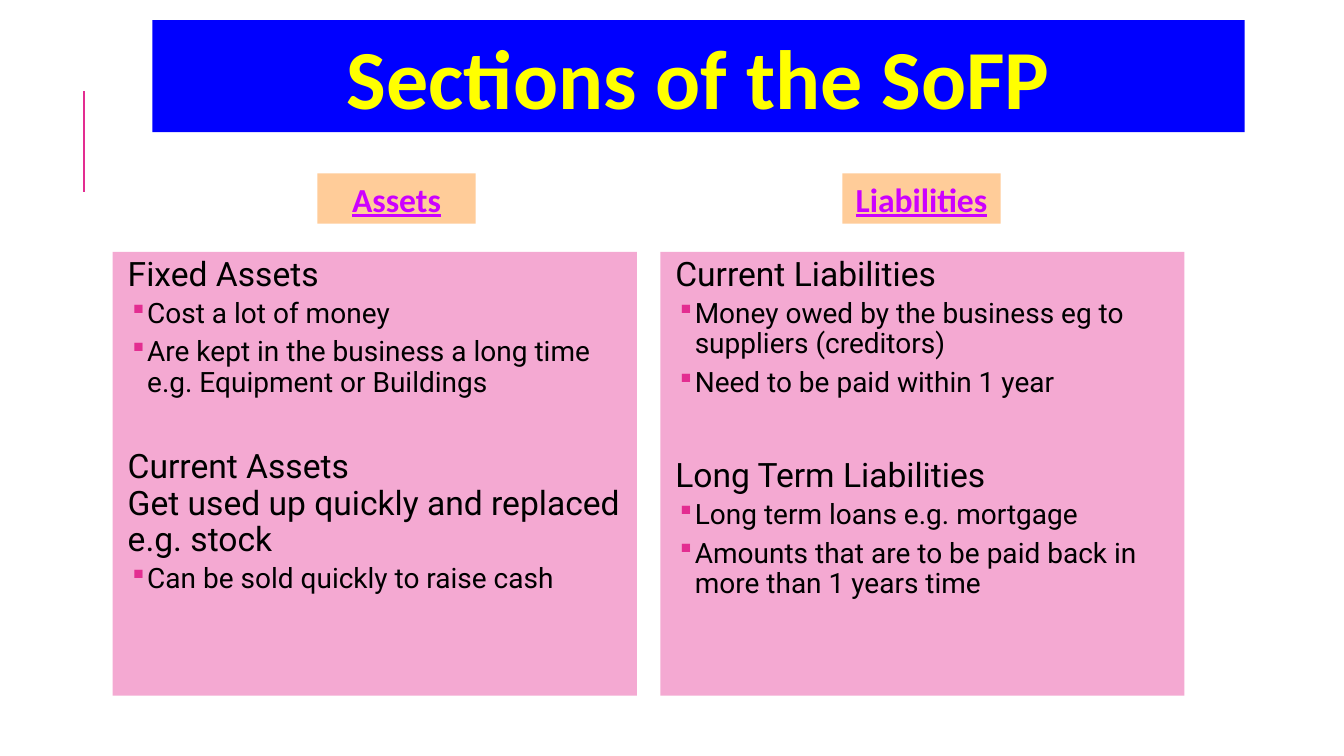
"""Build the slide on the sections of the statement of financial position."""
from dataclasses import dataclass

from lxml.etree import SubElement
from pptx import Presentation
from pptx.dml.color import RGBColor
from pptx.enum.shapes import MSO_CONNECTOR, MSO_SHAPE
from pptx.enum.text import MSO_ANCHOR, PP_ALIGN
from pptx.oxml.ns import qn
from pptx.util import Cm, Pt

COLORS = {
    "blue": "0000FF", "yellow": "FFFF00", "pink": "F4A9D2", "rose": "E32D91",
    "peach": "FFCC99", "purple": "CC00FF", "black": "000000",
}


@dataclass
class Item:
    text: str
    level: int = 0
    before: float = 0


@dataclass
class Side:
    label: str
    label_x: float
    panel_x: float
    items: list[Item]


SIDES = [
    Side("Assets", 8, 2.84, [
        Item("Fixed Assets"),
        Item("Cost a lot of money", 1, 4),
        Item("Are kept in the business a long time e.g. Equipment or Buildings", 1, 6),
        Item("Current Assets\vGet used up quickly and replaced e.g. stock", 0, 37),
        Item("Can be sold quickly to raise cash", 1, 4),
    ]),
    Side("Liabilities", 21.23, 16.64, [
        Item("Current Liabilities"),
        Item("Money owed by the business eg to suppliers (creditors)", 1, 4),
        Item("Need to be paid within 1 year", 1, 6),
        Item("Long Term Liabilities", 0, 43),
        Item("Long term loans e.g. mortgage", 1, 4),
        Item("Amounts that are to be paid back in more than 1 years time", 1, 6),
    ]),
]


def color(name: str) -> RGBColor:
    return RGBColor.from_string(COLORS[name])


def add_box(slide, x: float, y: float, width: float, height: float, fill: str, inset: float = 0.25):
    box = slide.shapes.add_shape(MSO_SHAPE.RECTANGLE, Cm(x), Cm(y), Cm(width), Cm(height))
    box.shadow.inherit = False
    box.fill.solid()
    box.fill.fore_color.rgb = color(fill)
    box.line.fill.background()
    frame = box.text_frame
    frame.word_wrap = True
    frame.vertical_anchor = MSO_ANCHOR.TOP
    frame.margin_left = frame.margin_right = Cm(inset)
    frame.margin_top = frame.margin_bottom = Cm(0.13)
    return frame


def write(para, text: str, *, size: float, ink: str = "black", font: str = "Roboto",
          bold: bool = False, under: bool = False, align=PP_ALIGN.LEFT) -> None:
    para.text = text
    para.alignment = align
    for run in para.runs:
        run.font.name = font
        run.font.size = Pt(size)
        run.font.bold = bold
        run.font.underline = under
        run.font.color.rgb = color(ink)


def add_bullet(para) -> None:
    props = para._p.get_or_add_pPr()
    tint = SubElement(props, qn("a:buClr"))
    SubElement(tint, qn("a:srgbClr"), val=COLORS["rose"])
    SubElement(props, qn("a:buFont"), typeface="Wingdings")
    SubElement(props, qn("a:buChar"), char="§")


def add_panel(slide, x: float, items: list[Item]) -> None:
    frame = add_box(slide, x, 6.35, 13.21, 11.18, "pink", inset=0.13)
    for index, item in enumerate(items):
        para = frame.add_paragraph() if index else frame.paragraphs[0]
        para.level = item.level
        para.line_spacing = 0.9
        para.space_before = Pt(item.before)
        props = para._p.get_or_add_pPr()
        props.set("marL", str(Cm(0.74 if item.level else 0.25)))
        props.set("indent", str(Cm(-0.38 if item.level else 0)))
        if item.level:
            add_bullet(para)
        write(para, item.text, size=20 if item.level else 24)


def add_rule(slide) -> None:
    rule = slide.shapes.add_connector(MSO_CONNECTOR.STRAIGHT, Cm(2.11), Cm(4.83), Cm(2.11), Cm(2.29))
    rule.line.color.rgb = color("rose")
    rule.line.width = Pt(1.5)
    SubElement(rule._element.spPr, qn("a:effectLst"))


def main() -> None:
    deck = Presentation()
    deck.slide_width, deck.slide_height = Cm(33.87), Cm(19.05)
    slide = deck.slides.add_slide(deck.slide_layouts[6])
    add_rule(slide)
    title = add_box(slide, 3.84, 0.51, 27.53, 2.82, "blue")
    write(title.paragraphs[0], "Sections of the SoFP", size=60, ink="yellow",
          font="Calibri", bold=True, align=PP_ALIGN.CENTER)
    for side in SIDES:
        add_panel(slide, side.panel_x, side.items)
        label = add_box(slide, side.label_x, 4.37, 3.99, 1.27, "peach")
        write(label.paragraphs[0], side.label, size=24, ink="purple",
              font="Calibri", bold=True, under=True, align=PP_ALIGN.CENTER)
    deck.save("out.pptx")


if __name__ == "__main__":
    main()
